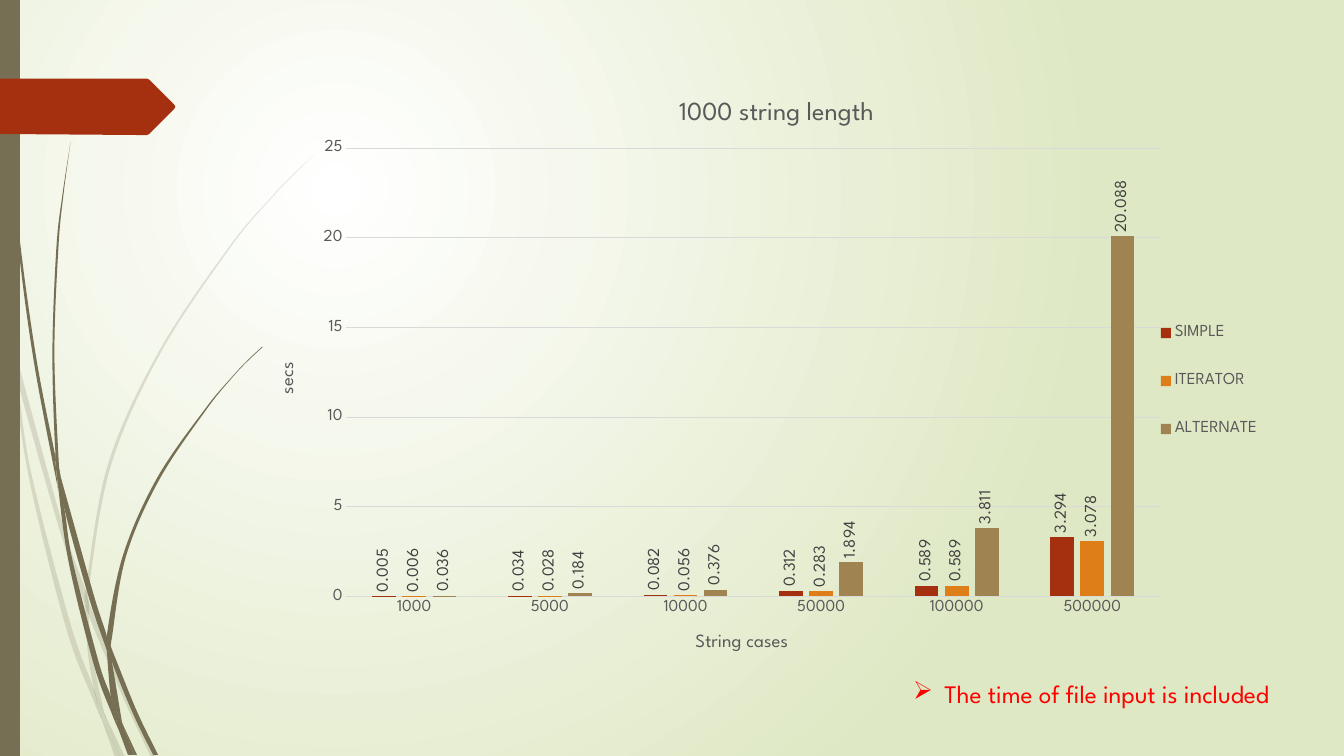
from lxml import etree
from pptx import Presentation
from pptx.chart.data import CategoryChartData
from pptx.dml.color import RGBColor
from pptx.enum.chart import XL_CHART_TYPE, XL_LABEL_POSITION, XL_LEGEND_POSITION, XL_TICK_MARK
from pptx.enum.shapes import MSO_SHAPE
from pptx.oxml.ns import qn
from pptx.util import Cm, Pt

COLUMNS = XL_CHART_TYPE.COLUMN_CLUSTERED
OUTSIDE = XL_LABEL_POSITION.OUTSIDE_END
RIGHT = XL_LEGEND_POSITION.RIGHT
NO_TICK = XL_TICK_MARK.NONE
RECTANGLE = MSO_SHAPE.RECTANGLE

FONT = "League Spartan"
COLORS = {
    "center": "FFFFFF", "edge": "DFE8C4", "olive": "766F54", "rust": "A53010",
    "orange": "DE7E18", "tan": "9F8351", "gray": "595959", "label": "404040",
    "grid": "D9D9D9", "red": "FF0000",
}
CASES = ["1000", "5000", "10000", "50000", "100000", "500000"]
SERIES = [
    ("SIMPLE", "rust", [0.005, 0.034, 0.082, 0.312, 0.589, 3.294]),
    ("ITERATOR", "orange", [0.006, 0.028, 0.056, 0.283, 0.589, 3.078]),
    ("ALTERNATE", "tan", [0.036, 0.184, 0.376, 1.894, 3.811, 20.088]),
]
UNIT = Cm(0.0254)
PALE_BLADES = [
    ("0,282 9,322 11,350", "0,282 0,299 10,344 11,350"),
    ("14,345 17,376 58,522 84,599", "14,345 62,520 85,586 84,599"),
    ("88,596 88,610 123,694 150,751", "88,596 92,607 127,692 155,751"),
    ("105,711 119,751", "105,711 124,751"),
    ("11,350 28,470 65,621 92,693 101,714", "11,350 17,376 31,469 70,619 93,683 99,707 101,714"),
    ("84,599 87,646 93,683 96,692 105,711", "84,599 88,608 88,610 91,646 103,706 105,711"),
    ("312,153 289,175 268,197 228,244 158,348 107,461 85,584 85,586 88,596",
     "312,153 290,175 268,198 229,245 160,349 110,462 88,584 88,596"),
    ("101,714 114,751", "101,714 119,751"),
    ("85,586 84,599 88,608", "85,586 88,596 88,610 88,608"),
    ("93,683 99,707 101,714 119,751", "93,683 96,692 105,711 119,751"),
]
DARK_BLADES = [
    ("3,0 4,48 7,110 17,233 33,355 56,477 57,481",
     "4,0 5,48 8,109 19,232 36,355 55,453 55,457 57,481"),
    ("60,472 64,505 88,592 106,645", "60,472 93,590 106,631 106,645"),
    ("110,641 111,656 132,708 152,749", "110,641 113,649 136,706 157,749"),
    ("57,477 68,557 93,659 111,708 117,722", "57,477 64,505 72,556 98,657 110,691 116,717 117,722"),
    ("70,141 62,193 56,245 52,349 55,449 60,472", "70,141 63,193 58,245 54,349 58,453 60,472"),
    ("122,719 133,749", "122,719 136,749"),
    ("55,449 55,453 57,477 64,505", "55,449 60,472 64,505"),
    ("260,344 245,358 231,373 204,405 156,474 122,551 106,631 110,641",
     "261,344 245,359 231,374 205,406 158,476 125,552 111,633 110,641"),
    ("117,722 127,749", "117,722 131,749"),
    ("106,645 110,691 116,706 122,719", "106,645 109,651 111,656 121,716 122,719"),
    ("106,631 106,645 111,656", "106,631 110,641 111,656"),
    ("110,691 116,717 117,722 130,749", "110,691 116,706 122,719 133,749"),
]
TAG = "0,78 136,78 146,78 148,79 173,104 174,106 173,108 148,133 146,134 136,134 0,133"


def color(name):
    """Return the named colour."""
    return RGBColor.from_string(COLORS[name])


def style_font(font, size, tint):
    """Set the face, size and colour of a font."""
    font.name, font.size, font.bold = FONT, Pt(size), False
    font.color.rgb = color(tint)


def paint(shape, tint):
    """Give a shape a plain fill without line or shadow."""
    shape.shadow.inherit = False
    shape.fill.solid()
    shape.fill.fore_color.rgb = color(tint)
    shape.line.fill.background()


def read_knots(text):
    """Turn a list of x,y pairs into points."""
    return [tuple(UNIT * int(value) for value in pair.split(",")) for pair in text.split()]


def add_outline(page, left, top, points, tint):
    """Draw a filled closed outline."""
    builder = page.shapes.build_freeform(*points[0])
    builder.add_line_segments(points[1:], close=True)
    shape = builder.convert_to_shape(left, top)
    paint(shape, tint)
    return shape


def curve_controls(knots):
    """Return two control points and an end for each curve through the knots."""
    padded = [knots[0], *knots, knots[-1]]
    points = []
    for before, start, end, after in zip(padded, padded[1:], padded[2:], padded[3:]):
        points.append(tuple(b + (c - a) / 6 for a, b, c in zip(before, start, end)))
        points.append(tuple(c - (d - b) / 6 for b, c, d in zip(start, end, after)))
        points.append(end)
    return points


def add_blade(page, left, top, edges, alpha=None):
    """Draw a piece of grass between its two curved edges."""
    near, far = read_knots(edges[0]), read_knots(edges[1])[::-1]
    joint = [near[-1], far[0], far[0]]
    points = [near[0]] + curve_controls(near) + joint + curve_controls(far)
    blade = add_outline(page, left, top, points, "olive")
    lines = list(blade._element.iter(qn("a:lnTo")))
    for first, second, third in zip(lines[::3], lines[1::3], lines[2::3]):
        curve = etree.Element(qn("a:cubicBezTo"))
        first.addprevious(curve)
        for line in (first, second, third):
            curve.append(line[0])
            line.getparent().remove(line)
    if alpha:
        tint = blade.fill._xPr.find(".//" + qn("a:srgbClr"))
        etree.SubElement(tint, qn("a:alpha"), val=str(alpha * 1000))


def add_background(page):
    """Fill the page with a radial gradient."""
    fill = page.background.fill
    fill.gradient()
    for stop, tint, position in zip(fill.gradient_stops, ("center", "edge"), (0, 1)):
        stop.color.rgb = color(tint)
        stop.position = position
    gradient = page.element.find(".//" + qn("a:gradFill"))
    gradient.remove(gradient.find(qn("a:lin")))
    circle = etree.SubElement(gradient, qn("a:path"), path="circle")
    etree.SubElement(circle, qn("a:fillToRect"), l="50000", t="50000", r="100000", b="100000")


def add_decoration(page, left, top, height):
    """Draw the grass, side bar and arrow tag."""
    for edges in PALE_BLADES:
        add_blade(page, left, top, edges, alpha=20)
    for edges in DARK_BLADES:
        add_blade(page, left, top, edges)
    paint(page.shapes.add_shape(RECTANGLE, left, top, Cm(0.5), height), "olive")
    add_outline(page, left, top, read_knots(TAG), "rust")


def set_title(frame, text, size):
    """Write the title of a chart or an axis."""
    frame.text = text
    style_font(frame.paragraphs[0].runs[0].font, size, "gray")


def set_layout(element, x, y, width, height, inner=False):
    """Place a part of the chart by percentages of the chart area."""
    layout = element.find(qn("c:layout"))
    if layout is None:
        layout = etree.Element(qn("c:layout"))
        element.insert(0 if inner else 1, layout)
    manual = etree.SubElement(layout, qn("c:manualLayout"))
    settings = [("layoutTarget", "inner")] if inner else []
    settings += [("xMode", "edge"), ("yMode", "edge")]
    settings += zip("xywh", (x / 100, y / 100, width / 100, height / 100))
    for name, value in settings:
        etree.SubElement(manual, qn("c:" + name), val=str(value))


def add_timing_chart(page, left, top, width, height):
    """Add the column chart of run times."""
    data = CategoryChartData()
    data.categories = CASES
    for name, _, values in SERIES:
        data.add_series(name, values)
    chart = page.shapes.add_chart(COLUMNS, left, top, width, height, data).chart
    style_font(chart.font, 12, "gray")
    set_title(chart.chart_title.text_frame, "1000 string length", 18.6)
    for axis, title in ((chart.category_axis, "String cases"), (chart.value_axis, "secs")):
        set_title(axis.axis_title.text_frame, title, 13.3)
        axis.major_tick_mark = axis.minor_tick_mark = NO_TICK
        style_font(axis.tick_labels.font, 12, "gray")
    value_axis = chart.value_axis
    value_axis.minimum_scale, value_axis.maximum_scale, value_axis.major_unit = 0, 25, 5
    value_axis.format.line.fill.background()
    for line in (chart.category_axis.format.line, value_axis.major_gridlines.format.line):
        line.color.rgb = color("grid")
        line.width = Pt(0.75)
    plot = chart.plots[0]
    plot.gap_width, plot.overlap, plot.vary_by_categories = 219, -27, False
    for series, (_, tint, _) in zip(plot.series, SERIES):
        series.format.fill.solid()
        series.format.fill.fore_color.rgb = color(tint)
        labels = series.data_labels
        labels.show_value, labels.position = True, OUTSIDE
        style_font(labels.font, 12, "label")
        body = labels._element.find(".//" + qn("a:bodyPr"))
        body.set("rot", "-5400000")
        body.set("vert", "horz")
    chart.has_legend = True
    legend = chart.legend
    legend.position, legend.include_in_layout = RIGHT, False
    style_font(legend.font, 12, "gray")
    set_layout(legend._element, 86.1, 36.2, 11, 29.5)
    set_layout(chart._chartSpace.find(".//" + qn("c:plotArea")), 8.6, 12, 78.3, 75, inner=True)


def add_note(page, left, top, width, height):
    """Add the bulleted remark under the chart."""
    frame = page.shapes.add_textbox(left, top, width, height).text_frame
    frame.word_wrap = True
    para = frame.paragraphs[0]
    span = para.add_run()
    span.text = "The time of file input is included"
    style_font(span.font, 18, "red")
    properties = para._p.get_or_add_pPr()
    properties.set("marL", str(Cm(0.79)))
    properties.set("indent", str(-Cm(0.79)))
    etree.SubElement(properties, qn("a:buChar"), char="➢")


def main():
    """Build the deck and save it."""
    deck = Presentation()
    deck.slide_width, deck.slide_height = Cm(33.87), Cm(19.05)
    page = deck.slides.add_slide(deck.slide_layouts[6])
    add_background(page)
    add_decoration(page, Cm(0), Cm(0), deck.slide_height)
    add_timing_chart(page, Cm(6.48), Cm(1.93), Cm(26.19), Cm(15.06))
    add_note(page, Cm(22.76), Cm(16.97), Cm(11.46), Cm(1.02))
    deck.save("out.pptx")


if __name__ == "__main__":
    main()
